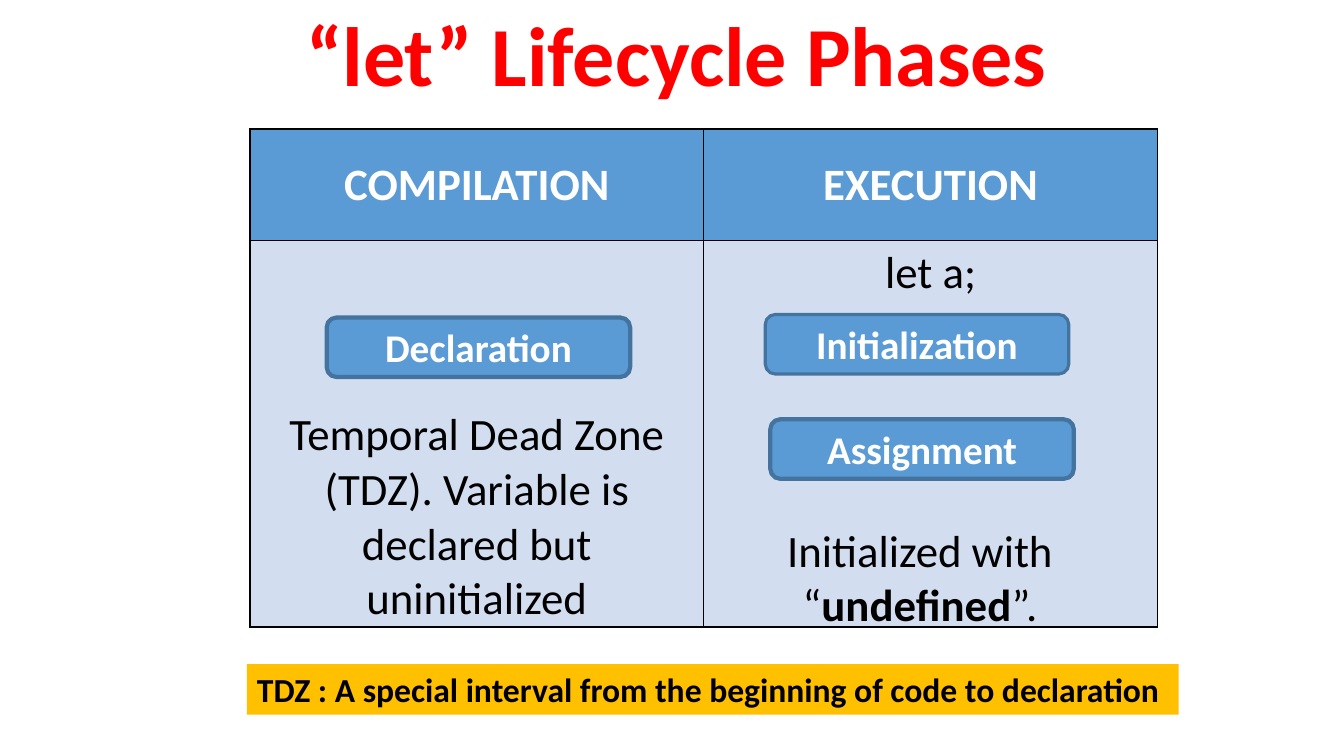
import pptx
import pptx.util
import pptx.dml.color
import pptx.enum.shapes
import pptx.enum.text
import pptx.oxml
import pptx.oxml.ns

Inches, Pt = pptx.util.Inches, pptx.util.Pt
ALIGN, ANCHOR = pptx.enum.text.PP_ALIGN, pptx.enum.text.MSO_ANCHOR
SHAPE = pptx.enum.shapes.MSO_SHAPE
BLUE, PALE, BLACK, WHITE = "5B9BD5", "D2DEEF", "000000", "FFFFFF"


def color(hex_code):
    return pptx.dml.color.RGBColor.from_string(hex_code)


def write(tf, runs, size, hex_code, align=ALIGN.CENTER):
    """Fill the first paragraph with (text, bold) runs."""
    p = tf.paragraphs[0]
    p.alignment = align
    for text, bold in runs:
        r = p.add_run()
        r.text = text
        for name, value in {"name": "Calibri", "size": Pt(size), "bold": bold}.items():
            setattr(r.font, name, value)
        r.font.color.rgb = color(hex_code)
    return p


def add_text(s, box, runs, size, hex_code, anchor=ANCHOR.TOP):
    tf = s.shapes.add_textbox(*map(Inches, box)).text_frame
    tf.word_wrap = True
    tf.vertical_anchor = anchor
    return write(tf, runs, size, hex_code)


def add_box(s, kind, box, text, size, fill, text_color, line=None, align=ALIGN.CENTER):
    sp = s.shapes.add_shape(kind, *map(Inches, box))
    sp.shadow.inherit = False
    sp.fill.solid()
    sp.fill.fore_color.rgb = color(fill)
    if line:
        sp.line.color.rgb = color(line[0])
        sp.line.width = Pt(line[1])
    else:
        sp.line.fill.background()
    sp.text_frame.word_wrap = True
    sp.text_frame.vertical_anchor = ANCHOR.MIDDLE
    write(sp.text_frame, [(text, True)], size, text_color, align)


def style_cell(cell, fill):
    tc_pr = cell._tc.get_or_add_tcPr()
    for side in ("lnL", "lnR", "lnT", "lnB"):
        tc_pr.append(pptx.oxml.parse_xml(
            f'<a:{side} {pptx.oxml.ns.nsdecls("a")} w="12700"><a:solidFill>'
            f'<a:srgbClr val="{BLACK}"/></a:solidFill></a:{side}>'))
    cell.fill.solid()
    cell.fill.fore_color.rgb = color(fill)


def add_phase_table(s, left, top):
    # Header row and body row, two equal columns
    heights = (1.11, 3.83)
    table = s.shapes.add_table(2, 2, *map(Inches, (left, top, 9, sum(heights)))).table
    for row, height in zip(table.rows, heights):
        row.height = Inches(height)
    notes = (("Temporal Dead Zone (TDZ). Variable is declared but uninitialized", ANCHOR.BOTTOM),
             ("let a;", ANCHOR.TOP))
    for col, (title, (note, anchor)) in enumerate(zip(("COMPILATION", "EXECUTION"), notes)):
        table.columns[col].width = Inches(4.5)
        head, body = table.cell(0, col), table.cell(1, col)
        style_cell(head, BLUE)
        style_cell(body, PALE)
        head.vertical_anchor, body.vertical_anchor = ANCHOR.MIDDLE, anchor
        body.margin_bottom = 0
        write(head.text_frame, [(title, True)], 32, WHITE)
        write(body.text_frame, [(note, False)], 32, BLACK)

    # Phase buttons, offset from the table corner
    for text, dx, dy, width in (("Declaration", 0.76, 1.87, 3),
                                ("Initialization", 5.11, 1.84, 2.25),
                                ("Assignment", 5.16, 2.88, 3)):
        add_box(s, SHAPE.ROUNDED_RECTANGLE, (left + dx, top + dy, 3.01, 0.59),
                text, 28, BLUE, WHITE, ("43739E", width))

    # Outcome of the execution phase
    add_text(s, (left + 4.66, top + 3.86, 3.97, 1.18),
             [("Initialized with “", False), ("undefined", True), ("”.", False)], 32, BLACK)


def main():
    prs = pptx.Presentation()
    prs.slide_width, prs.slide_height = Inches(13.33), Inches(7.5)
    s = prs.slides.add_slide(prs.slide_layouts[6])

    # Title
    p = add_text(s, (0.49, 0.05, 12.44, 1.08), [("“let” Lifecycle Phases", True)],
                 60, "FF0000", ANCHOR.MIDDLE)
    p.line_spacing = 0.9

    add_phase_table(s, 2.48, 1.28)

    # Definition strip
    add_box(s, SHAPE.RECTANGLE, (2.45, 6.59, 9.24, 0.5),
            "TDZ : A special interval from the beginning of code to declaration",
            24, "FFC000", BLACK, align=ALIGN.LEFT)
    prs.save("out.pptx")


if __name__ == "__main__":
    main()
